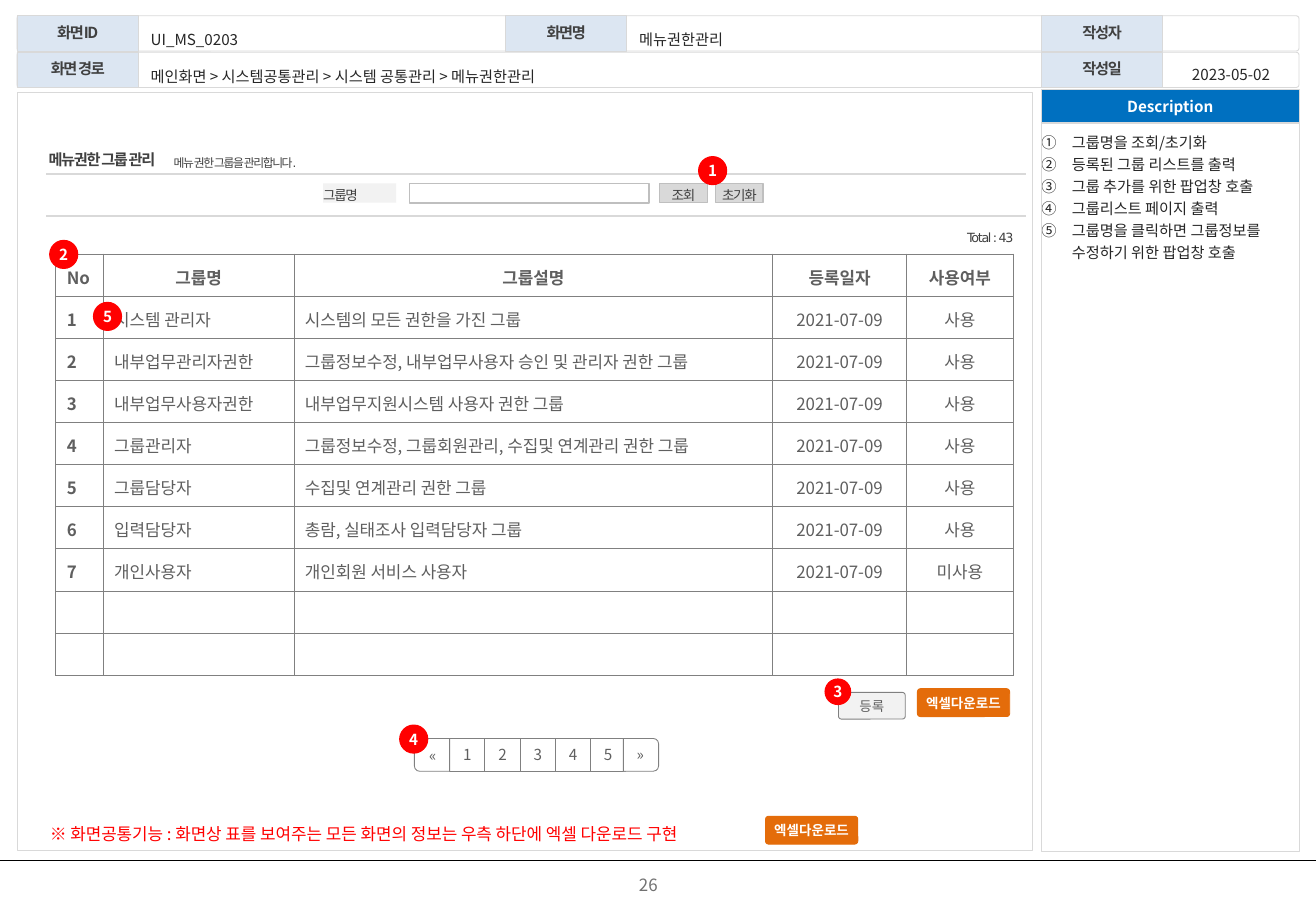
"""Build the menu permission management screen specification slide."""
from lxml.etree import SubElement
from pptx import Presentation
from pptx.dml.color import RGBColor
from pptx.enum.shapes import MSO_CONNECTOR, MSO_SHAPE as Shape
from pptx.enum.text import MSO_ANCHOR as Anchor, MSO_AUTO_SIZE, PP_ALIGN as Align
from pptx.oxml.ns import qn
from pptx.util import Inches, Pt

COLORS = {
    "label": "DCE6F2", "frame": "D9D9D9", "blue": "0070C0", "white": "FFFFFF",
    "pale": "F2F2F2", "border": "808080", "field": "BFBFBF", "red": "FF0000",
    "orange": "E46C0A", "black": "000000", "dark": "404040", "ink": "262626",
    "table": "5F5F5F", "page": "717171",
}
KOREAN, SCREEN = "Noto Sans CJK KR", "DejaVu Sans"

HEADER_LABELS = [
    ("화면ID", 0.14, 0.13), ("작성자", 8.57, 0.13), ("작성일", 8.57, 0.43),
    ("화면명", 4.16, 0.13), ("화면 경로", 0.14, 0.43),
]
HEADER_VALUES = [
    ("UI_MS_0203", 1.16, 0.13, 2.99),
    ("메뉴권한관리", 5.18, 0.13, 3.39),
    ("메인화면 > 시스템공통관리 > 시스템 공통관리 > 메뉴권한관리", 1.16, 0.44, 7.4),
]
DESCRIPTIONS = [
    "그룹명을 조회/초기화",
    "등록된 그룹 리스트를 출력",
    "그룹 추가를 위한 팝업창 호출",
    "그룹리스트 페이지 출력",
    "그룹명을 클릭하면 그룹정보를 수정하기 위한 팝업창 호출",
]
GROUP_COLUMNS = [("No", 0.39), ("그룹명", 1.57), ("그룹설명", 3.94), ("등록일자", 1.1), ("사용여부", 0.88)]
GROUPS = [
    ("시스템 관리자", "시스템의 모든 권한을 가진 그룹", "사용"),
    ("내부업무관리자권한", "그룹정보수정, 내부업무사용자 승인 및 관리자 권한 그룹", "사용"),
    ("내부업무사용자권한", "내부업무지원시스템 사용자 권한 그룹", "사용"),
    ("그룹관리자", "그룹정보수정, 그룹회원관리, 수집및 연계관리 권한 그룹", "사용"),
    ("그룹담당자", "수집및 연계관리 권한 그룹", "사용"),
    ("입력담당자", "총람, 실태조사 입력담당자 그룹", "사용"),
    ("개인사용자", "개인회원 서비스 사용자", "미사용"),
]
REGISTERED = "2021-07-09"
EMPTY_ROWS = 2
SEARCH_BUTTONS = [("조회", 5.43), ("초기화", 5.89)]
EXPORT_BUTTONS = [(7.55, 5.67), (6.3, 6.72)]
PAGES = ["1", "2", "3", "4", "5"]
PAGE_ENDS = [("«", 3.42, 270, "vert"), ("»", 5.14, 90, "vert270")]
MARKERS = [
    ("1", 5.75, 1.29, 0.23), ("2", 0.41, 1.98, 0.23), ("3", 6.79, 5.59, 0.21),
    ("4", 3.29, 5.97, 0.23), ("5", 0.77, 2.49, 0.23),
]
RULES = [(0, 10.83, 7.08, "black", 0.5), (0.38, 8.44, 1.43, "frame", 1), (0.38, 8.44, 1.78, "frame", 1)]

presentation = Presentation()
presentation.slide_width, presentation.slide_height = Inches(10.83), Inches(7.5)
slide = presentation.slides.add_slide(presentation.slide_layouts[1])


def rgb(name):
    return RGBColor.from_string(COLORS[name])


def write(frame, *lines, size=9, color="ink", bold=False, align=Align.LEFT, anchor=Anchor.MIDDLE,
          font=KOREAN, spacing=None, tracking=0, inset=0, numbered=False):
    frame.word_wrap = True
    frame.vertical_anchor = anchor
    frame.margin_left = Inches(inset)
    frame.margin_top = frame.margin_right = frame.margin_bottom = 0
    for index, line in enumerate(lines):
        paragraph = frame.add_paragraph() if index else frame.paragraphs[0]
        if numbered:
            properties = paragraph._p.get_or_add_pPr()
            properties.set("marL", str(Inches(0.25)))
            properties.set("indent", str(Inches(-0.25)))
            SubElement(properties, qn("a:buAutoNum"), type="circleNumDbPlain")
        paragraph.alignment = align
        paragraph.space_before = Pt(0)
        if spacing:
            paragraph.line_spacing = spacing
        if not line:
            SubElement(paragraph._p, qn("a:endParaRPr"), sz=str(size * 100))
            continue
        run = paragraph.add_run()
        run.text = line
        run.font.size, run.font.bold, run.font.name = Pt(size), bold, font
        run.font.color.rgb = rgb(color)
        SubElement(run._r.rPr, qn("a:ea"), typeface=KOREAN)
        if tracking:
            run._r.rPr.set("spc", str(round(tracking * 100)))


def place(shape, left, top, width, height):
    shape.left, shape.top, shape.width, shape.height = map(Inches, (left, top, width, height))


def add_box(kind, left, top, width, height, fill=None, line=None, weight=0.5, corner=None):
    shape = slide.shapes.add_shape(kind, *map(Inches, (left, top, width, height)))
    shape.shadow.inherit = False
    if fill:
        shape.fill.solid()
        shape.fill.fore_color.rgb = rgb(fill)
    else:
        shape.fill.background()
    if line:
        shape.line.color.rgb = rgb(line)
        shape.line.width = Pt(weight)
    else:
        shape.line.fill.background()
    if corner is not None:
        shape.adjustments[0] = corner
    return shape


def add_text(text, left, top, width, height, **style):
    box = slide.shapes.add_textbox(*map(Inches, (left, top, width, height)))
    write(box.text_frame, text, **style)


def add_rule(start, end, top, color, weight):
    rule = slide.shapes.add_connector(
        MSO_CONNECTOR.STRAIGHT, Inches(start), Inches(top), Inches(end), Inches(top))
    rule.line.color.rgb = rgb(color)
    rule.line.width = Pt(weight)
    SubElement(rule._element.spPr, qn("a:effectLst"))


def add_group_table():
    rows = [[name for name, _ in GROUP_COLUMNS]]
    rows += [[str(number), name, detail, REGISTERED, used]
             for number, (name, detail, used) in enumerate(GROUPS, 1)]
    rows += [[""] * len(GROUP_COLUMNS)] * EMPTY_ROWS
    table = slide.shapes.add_table(
        len(rows), len(GROUP_COLUMNS), Inches(0.46), Inches(2.09), Inches(7.88), Inches(3.47)).table
    table.first_row = table.horz_banding = False
    for column, (_, width) in zip(table.columns, GROUP_COLUMNS):
        column.width = Inches(width)
    for row_index, values in enumerate(rows):
        table.rows[row_index].height = Inches(3.47 / len(rows))
        for column_index, value in enumerate(values):
            cell = table.cell(row_index, column_index)
            centered = column_index > 2 or (row_index == 0 and column_index > 0)
            write(cell.text_frame, value, size=10, color="table",
                  bold=row_index == 0 or column_index == 0,
                  align=Align.CENTER if centered else Align.LEFT)
            cell.vertical_anchor = Anchor.MIDDLE
            cell.margin_left = cell.margin_right = Inches(0.09)
            cell.margin_top, cell.margin_bottom = Inches(0.05), Inches(0.02)
            properties = cell._tc.get_or_add_tcPr()
            for side in ("lnL", "lnR", "lnT", "lnB"):
                border = SubElement(properties, qn(f"a:{side}"), w=str(Pt(0.5)))
                SubElement(SubElement(border, qn("a:solidFill")), qn("a:srgbClr"), val=COLORS["border"])
            cell.fill.background()


title, body = slide.placeholders[0], slide.placeholders[1]
place(title, 0.4, 1.22, 1.54, 0.16)
write(title.text_frame, "메뉴권한 그룹 관리", font=SCREEN, color="dark", bold=True, spacing=1.2, tracking=-0.8)
place(body, 8.57, 1.07, 2.13, 5.75)
write(body.text_frame, *DESCRIPTIONS, anchor=Anchor.TOP, spacing=1.2, numbered=True)
for placeholder in (title, body):
    placeholder.text_frame.auto_size = MSO_AUTO_SIZE.NONE

for rule in RULES:
    add_rule(*rule)
for top in (0.13, 0.43):
    add_box(Shape.ROUNDED_RECTANGLE, 0.14, top, 10.55, 0.29, line="frame", corner=0.08)
for label, left, top in HEADER_LABELS:
    shape = add_box(Shape.RECTANGLE, left, top, 1, 0.29, "label", "frame")
    write(shape.text_frame, label, color="dark", bold=True, align=Align.CENTER, spacing=0.9, tracking=-0.8)
for value, left, top, width in HEADER_VALUES:
    add_text(value, left, top, width, 0.31, align=Align.JUSTIFY, spacing=1.5, inset=0.08)
add_text("2023-05-02", 9.59, 0.44, 1.08, 0.27, align=Align.CENTER, spacing=1.5)

add_box(Shape.RECTANGLE, 0.14, 0.76, 8.36, 6.24, line="frame")
add_box(Shape.RECTANGLE, 8.57, 1.02, 2.12, 5.99, line="frame")
heading = add_box(Shape.RECTANGLE, 8.57, 0.74, 2.12, 0.27, "blue", "frame")
write(heading.text_frame, "Description", color="white", bold=True, align=Align.CENTER)

screen_style = {"font": SCREEN, "color": "dark", "spacing": 1.2, "tracking": -0.8}
add_text("메뉴 권한 그룹을 관리합니다.", 1.43, 1.25, 1.73, 0.15, size=7, **screen_style)
add_text("Total : 43", 7.62, 1.86, 0.72, 0.17, size=7.5, align=Align.RIGHT, **screen_style)
search_label = add_box(Shape.RECTANGLE, 2.66, 1.51, 0.6, 0.16, "pale")
write(search_label.text_frame, "그룹명", size=8, **screen_style)
add_box(Shape.RECTANGLE, 3.37, 1.51, 1.97, 0.16, line="field", weight=1)
for label, left in SEARCH_BUTTONS:
    button = add_box(Shape.RECTANGLE, left, 1.51, 0.39, 0.16, "frame", "field", 0.75)
    write(button.text_frame, label, size=8, align=Align.CENTER, **screen_style)

add_group_table()

register = add_box(Shape.ROUNDED_RECTANGLE, 6.9, 5.7, 0.55, 0.22, "pale", "border", corner=0.11)
write(register.text_frame, "등록", size=8, color="table", align=Align.CENTER)
for left, top in EXPORT_BUTTONS:
    button = add_box(Shape.ROUNDED_RECTANGLE, left, top, 0.76, 0.23, "orange", "orange", corner=0.11)
    write(button.text_frame, "엑셀다운로드", size=8, color="white", bold=True, align=Align.CENTER)
add_text("※ 화면공통기능 : 화면상 표를 보여주는 모든 화면의 정보는 우측 하단에 엑셀 다운로드 구현",
         0.41, 6.69, 5.87, 0.26, size=10, color="red", spacing=1.5)

for index, page in enumerate(PAGES):
    button = add_box(Shape.RECTANGLE, 3.7 + index * 0.29, 6.08, 0.29, 0.27, "white", "border")
    write(button.text_frame, page, color="table", align=Align.CENTER)
for arrow, left, rotation, direction in PAGE_ENDS:
    button = add_box(Shape.ROUND_2_SAME_RECTANGLE, left, 6.07, 0.27, 0.29, "white", "border")
    button.rotation = rotation
    write(button.text_frame, arrow, color="table", align=Align.CENTER)
    button.text_frame._txBody.bodyPr.set("vert", direction)

for number, left, top, size in MARKERS:
    marker = add_box(Shape.OVAL, left, top, size, size, "red", "red", 0.75)
    write(marker.text_frame, number, color="white", bold=True, align=Align.CENTER)
add_text("26", 4.07, 7.13, 2.53, 0.31, size=10, color="page", align=Align.CENTER)

presentation.save("out.pptx")
